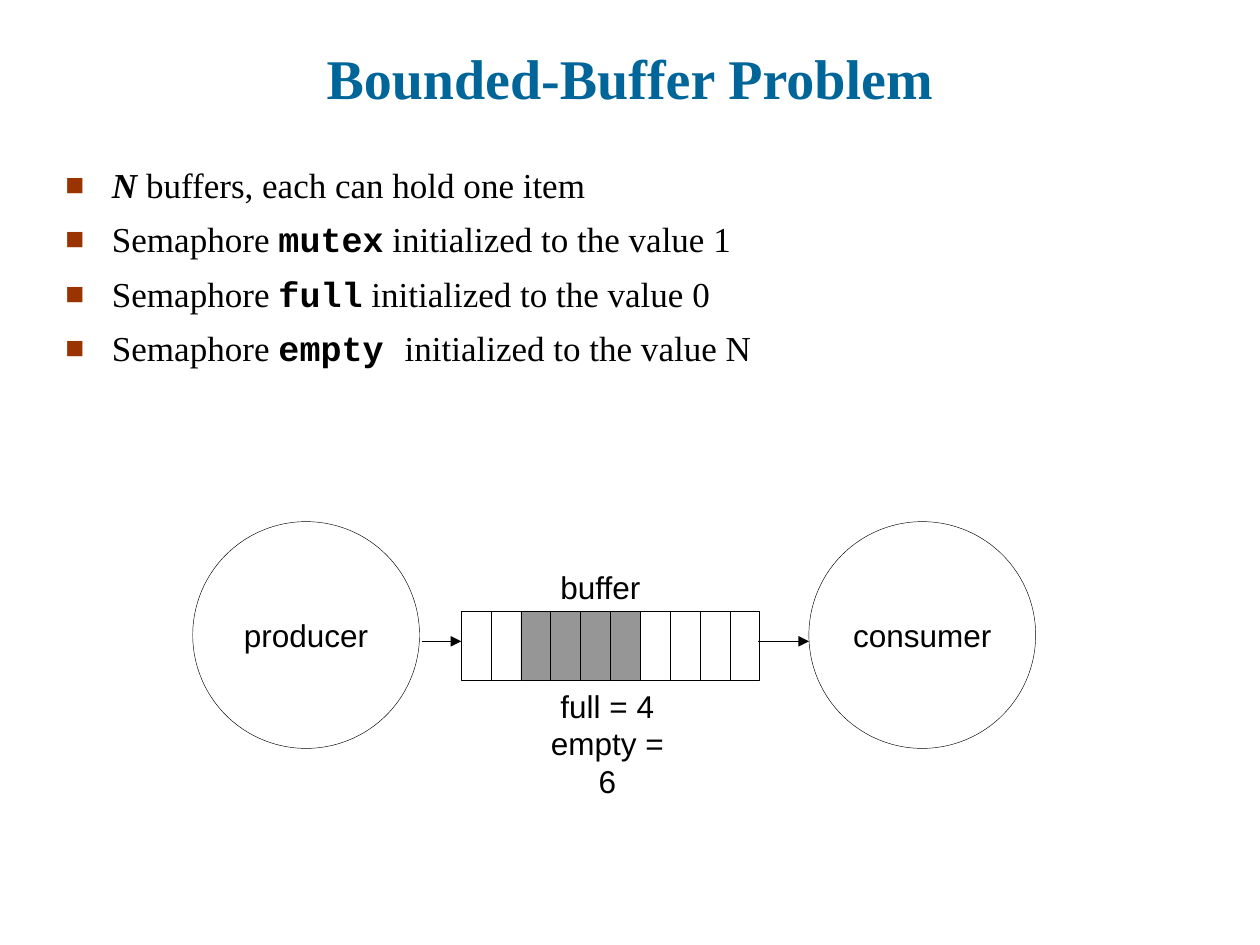
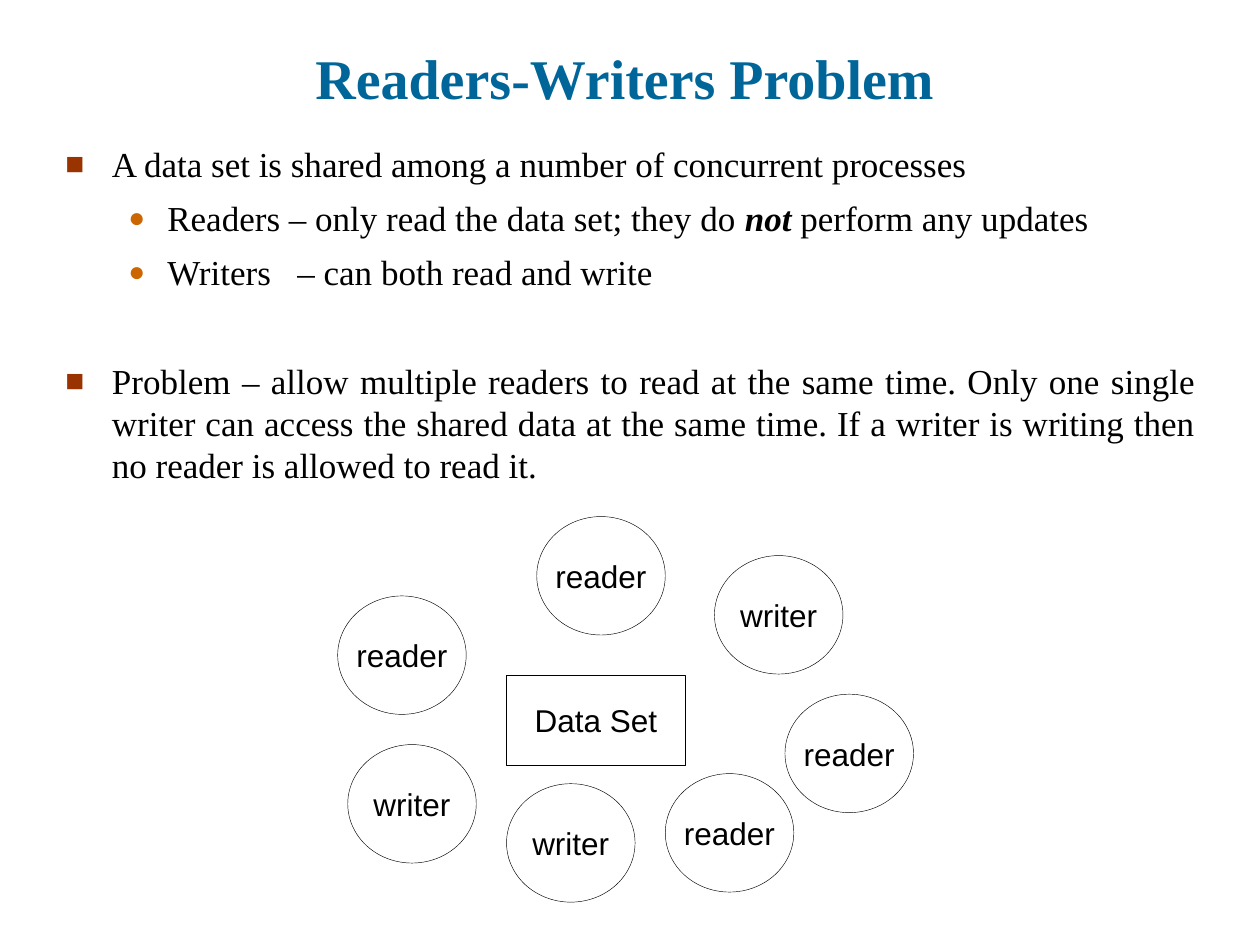
from lxml.etree import SubElement
from pptx import Presentation
from pptx.dml.color import RGBColor
from pptx.enum.shapes import MSO_CONNECTOR, MSO_SHAPE
from pptx.enum.text import MSO_ANCHOR, MSO_AUTO_SIZE, PP_ALIGN
from pptx.oxml.ns import qn
from pptx.util import Pt

PX = 9144  # EMU per px, 100 px to the inch

BLACK = RGBColor(0x00, 0x00, 0x00)
TITLE_BLUE = RGBColor(0x00, 0x66, 0x99)
FULL_GREY = RGBColor(0x96, 0x96, 0x96)
SERIF, SANS, MONO = "Times New Roman", "Arial", "Courier New"
HAIRLINE = Pt(0.25)

# per level: character, colour, size %, left margin px, hanging px
BULLETS = [("■", "993300", 90, 37, 37), ("●", "CC6600", 80, 81, 31)]

CODE = dict(font=MONO, bold=True)
STRONG = dict(bold=True, italic=True)
WIDE_SPACE = dict(spacing=10)

# each point: level, space before in pt, runs of (words, format)
BUFFER_POINTS = [
    (0, 0, [("N", STRONG), (" buffers, each can hold one item", {})]),
    (0, 7, [("Semaphore ", {}), ("mutex", CODE), (" initialized to the value 1", {})]),
    (0, 7, [("Semaphore ", {}), ("full", CODE), (" initialized to the value 0", {})]),
    (0, 7, [("Semaphore ", {}), ("empty ", CODE), ("initialized to the value N", {})]),
]
READER_POINTS = [
    (0, 0, [("A data set is shared among a number of concurrent processes", {})]),
    (1, 7, [("Readers – only read the data set; they do ", {}), ("not ", STRONG),
            ("perform any updates", {})]),
    (1, 7, [("Writers", {}), (" ", WIDE_SPACE), ("– can both read and write", {})]),
    (0, 38, [("Problem – allow multiple readers to read at the same time. Only one "
              "single writer can access the shared data at the same time. If a writer "
              "is writing then no reader is allowed to read it.", {})]),
]

# boxes are left, top, width, height
ACTORS = [("producer", (153, 414, 180, 180)), ("consumer", (642, 414, 180, 180))]
BUFFER_BOX = (366, 485, 237, 55)
SLOTS, FULL_SLOTS = 10, range(2, 6)
BUFFER_LABELS = [
    (["buffer"], (435, 446, 84, 40), PP_ALIGN.LEFT),
    (["full = 4", "empty = 6"], (417, 540, 130, 70), PP_ALIGN.CENTER),
]
ARROW_Y = 509
ARROWS = [(335, 366), (602, 642)]

DATA_SET_BOX = (402, 536, 142, 71)
PROCESS_SIZE = (102, 94)
PROCESSES = [
    ("reader", (268, 473)), ("writer", (276, 591)), ("writer", (402, 622)),
    ("reader", (528, 614)), ("reader", (623, 551)), ("writer", (567, 441)),
    ("reader", (426, 410)),
]


def emu(box):
    return [round(length * PX) for length in box]


def add_run(paragraph, words, font=SANS, size=18, color=BLACK, bold=False,
            italic=False, spacing=0):
    run = paragraph.add_run()
    run.text = words
    run.font.name, run.font.size = font, Pt(size)
    run.font.bold, run.font.italic = bold, italic
    run.font.color.rgb = color
    if spacing:
        run.font._element.set("spc", str(spacing * 100))


def add_bullet(paragraph, level):
    char, color, percent, margin, hanging = BULLETS[level]
    props = paragraph._p.get_or_add_pPr()
    props.set("marL", str(margin * PX))
    props.set("indent", str(-hanging * PX))
    SubElement(SubElement(props, qn("a:buClr")), qn("a:srgbClr"), val=color)
    SubElement(props, qn("a:buSzPct"), val=str(percent * 1000))
    SubElement(props, qn("a:buFont"), typeface=SANS)
    SubElement(props, qn("a:buChar"), char=char)


def paragraphs(frame, count):
    return [frame.paragraphs[0]] + [frame.add_paragraph() for _ in range(count - 1)]


def add_titled_slide(deck, title, box):
    slide = deck.slides.add_slide(deck.slide_layouts[5])
    holder = slide.shapes.title
    holder.left, holder.top, holder.width, holder.height = emu(box)
    frame = holder.text_frame
    frame.auto_size = MSO_AUTO_SIZE.NONE
    frame.vertical_anchor = MSO_ANCHOR.BOTTOM
    frame.paragraphs[0].alignment = PP_ALIGN.CENTER
    add_run(frame.paragraphs[0], title, font=SERIF, size=32, color=TITLE_BLUE, bold=True)
    return slide


def add_points(slide, points, box, align):
    frame = slide.shapes.add_textbox(*emu(box)).text_frame
    frame.word_wrap = True
    for paragraph, (level, before, runs) in zip(paragraphs(frame, len(points)), points):
        add_bullet(paragraph, level)
        paragraph.level = level
        paragraph.alignment = align
        if before:
            paragraph.space_before = Pt(before)
        for words, style in runs:
            add_run(paragraph, words, **{"font": SERIF, "size": 20, **style})


def add_outline(slide, kind, box, label="", fill=None):
    outline = slide.shapes.add_shape(kind, *emu(box))
    outline.shadow.inherit = False
    outline.line.color.rgb, outline.line.width = BLACK, HAIRLINE
    if fill is None:
        outline.fill.background()
    else:
        outline.fill.solid()
        outline.fill.fore_color.rgb = fill
    if label:
        frame = outline.text_frame
        frame.word_wrap = False
        frame.vertical_anchor = MSO_ANCHOR.MIDDLE
        frame.paragraphs[0].alignment = PP_ALIGN.CENTER
        add_run(frame.paragraphs[0], label)


def add_label(slide, lines, box, align):
    frame = slide.shapes.add_textbox(*emu(box)).text_frame
    frame.word_wrap = False
    frame.auto_size = MSO_AUTO_SIZE.SHAPE_TO_FIT_TEXT
    for paragraph, words in zip(paragraphs(frame, len(lines)), lines):
        paragraph.alignment = align
        add_run(paragraph, words)


def add_arrow(slide, start, end, y):
    arrow = slide.shapes.add_connector(MSO_CONNECTOR.STRAIGHT, *emu((start, y, end, y)))
    arrow.line.color.rgb, arrow.line.width = BLACK, HAIRLINE
    SubElement(arrow.line._get_or_add_ln(), qn("a:tailEnd"), type="triangle")
    SubElement(arrow._element.spPr, qn("a:effectLst"))


def build_bounded_buffer(deck):
    slide = add_titled_slide(deck, "Bounded-Buffer Problem", (50, 30, 900, 63))
    add_points(slide, BUFFER_POINTS, (42, 125, 789, 192), PP_ALIGN.LEFT)
    left, top, width, height = BUFFER_BOX
    slot_width = width / SLOTS
    for slot in range(SLOTS):
        add_outline(slide, MSO_SHAPE.RECTANGLE,
                    (left + slot * slot_width, top, slot_width, height),
                    fill=FULL_GREY if slot in FULL_SLOTS else None)
    for lines, box, align in BUFFER_LABELS:
        add_label(slide, lines, box, align)
    for actor, box in ACTORS:
        add_outline(slide, MSO_SHAPE.OVAL, box, actor)
    for start, end in ARROWS:
        add_arrow(slide, start, end, ARROW_Y)


def build_readers_writers(deck):
    slide = add_titled_slide(deck, "Readers-Writers Problem", (42, 30, 908, 63))
    add_points(slide, READER_POINTS, (42, 108, 917, 558), PP_ALIGN.JUSTIFY)
    add_outline(slide, MSO_SHAPE.RECTANGLE, DATA_SET_BOX, "Data Set")
    for process, corner in PROCESSES:
        add_outline(slide, MSO_SHAPE.OVAL, corner + PROCESS_SIZE, process)


def main():
    deck = Presentation()
    deck.slide_width, deck.slide_height = emu((1000, 750))
    build_bounded_buffer(deck)
    build_readers_writers(deck)
    deck.save("out.pptx")


if __name__ == "__main__":
    main()
